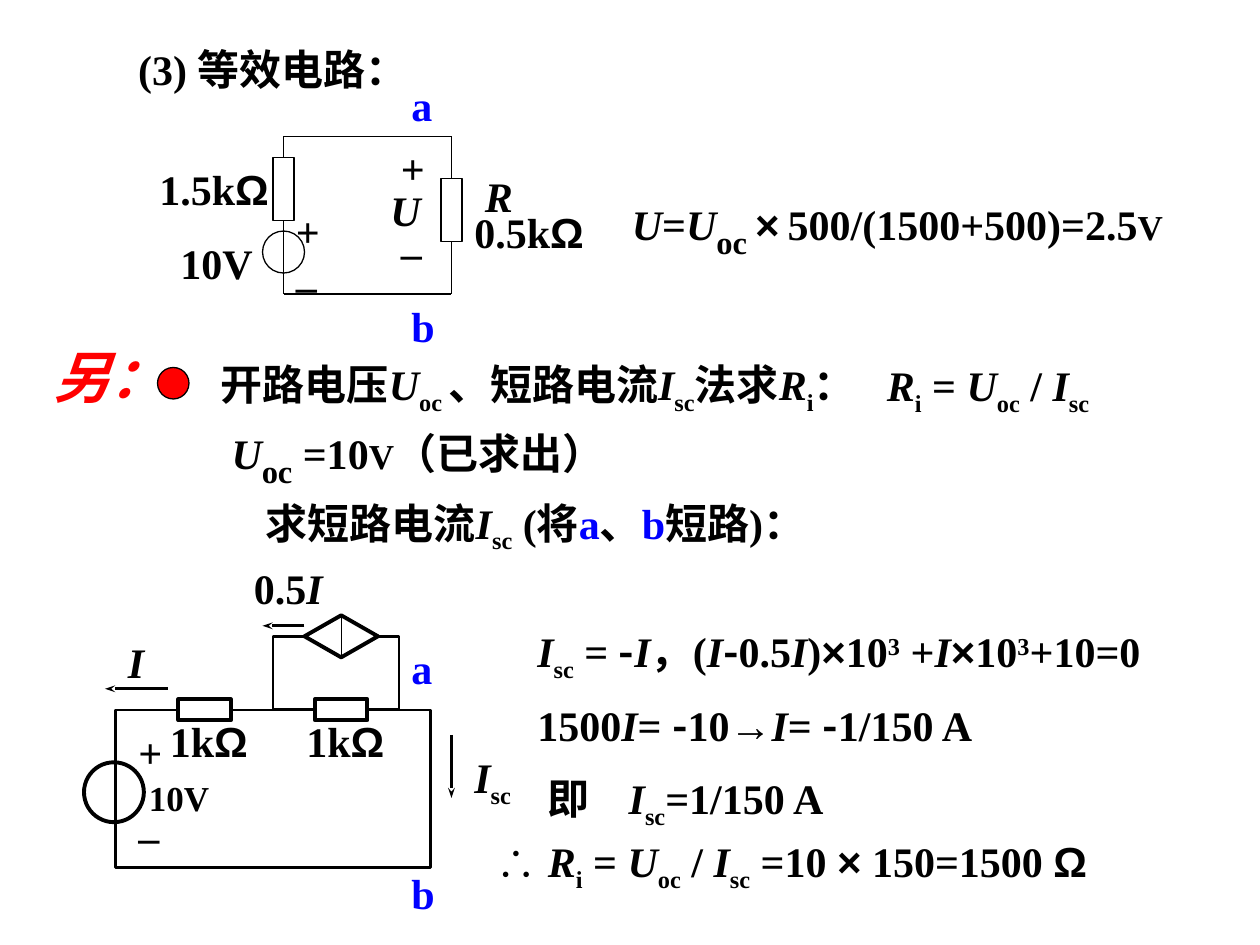
from dataclasses import dataclass

from lxml import etree
from pptx import Presentation
from pptx.dml.color import RGBColor
from pptx.enum import shapes, text
from pptx.oxml import ns
from pptx.util import Inches, Pt


@dataclass(frozen=True)
class Theme:
    ink: str = "000000"
    blue: str = "0000FF"
    red: str = "FF0000"
    paper: str = "FFFFFF"
    body: str = "Times New Roman"
    sign: str = "Arial"
    han: str = "Noto Sans CJK SC"
    small: int = 20
    base: int = 24
    large: int = 32
    thin: float = 0.75
    wire: float = 1.5
    bold: float = 2.25


T = Theme()
KIND = shapes.MSO_SHAPE
COLS, ROWS = 120, 90  # twelve cells to the inch
UOC = ("U|i", "oc|_")
ISC = ("I|i", "sc|_")
RI = ("R|i", "i|_")


def cell(n):
    return Inches(n / 12)


def rgb(code):
    return RGBColor.from_string(code)


def sub(node, tag, **attrs):
    return etree.SubElement(node, ns.qn(tag), **attrs)


def add_run(para, mark):
    """Mark is 'words|codes': i italic, _ low, ^ high, A sign font, H han font,
    b blue, r red, S small, L large."""
    words, _, codes = mark.partition("|")
    run = para.add_run()
    run.text = words
    font = run.font
    font.bold = True
    font.italic = "i" in codes
    font.name = T.sign if "A" in codes else T.han if "H" in codes else T.body
    font.size = Pt(T.small if "S" in codes else T.large if "L" in codes else T.base)
    font.color.rgb = rgb(T.blue if "b" in codes else T.red if "r" in codes else T.ink)
    props = run._r.get_or_add_rPr()
    sub(props, "a:ea", typeface=T.sign if "A" in codes else T.han)
    if "_" in codes:
        props.set("baseline", "-25000")
    if "^" in codes:
        props.set("baseline", "30000")


def label(page, box, *lines, mid=False, pitch=None, tab=None):
    """Each line is a tuple of marks; mid gives an unwrapped, centred line."""
    frame = page.add_textbox(*map(cell, box)).text_frame
    frame.word_wrap = not mid
    frame.auto_size = text.MSO_AUTO_SIZE.SHAPE_TO_FIT_TEXT
    if mid:
        frame.vertical_anchor = text.MSO_ANCHOR.MIDDLE
    for n, marks in enumerate(lines):
        para = frame.add_paragraph() if n else frame.paragraphs[0]
        if tab:
            stops = sub(para._p.get_or_add_pPr(), "a:tabLst")
            sub(stops, "a:tab", pos=str(cell(tab)), algn="l")
        if mid:
            para.alignment = text.PP_ALIGN.CENTER
        if pitch:
            para.line_spacing = pitch
        for mark in marks:
            add_run(para, mark)


def part(page, kind, box, width, fill=None):
    """Outlined circuit part, hollow unless a fill is given."""
    shape = page.add_shape(kind, *map(cell, box))
    shape.shadow.inherit = False
    if fill:
        shape.fill.solid()
        shape.fill.fore_color.rgb = rgb(fill)
    else:
        shape.fill.background()
    shape.line.color.rgb = rgb(T.ink)
    shape.line.width = Pt(width)
    return shape


def wire(page, ends, width, arrow=False):
    line = page.add_connector(shapes.MSO_CONNECTOR.STRAIGHT, *map(cell, ends))
    line.line.color.rgb = rgb(T.ink)
    line.line.width = Pt(width)
    if arrow:
        sub(line.line._get_or_add_ln(), "a:tailEnd", type="stealth", w="sm")
    sub(line._element.spPr, "a:effectLst")
    return line


def draw_loop(page):
    """Equivalent circuit: source, inner resistance and load."""
    left, right, top, low = 27, 43, 13, 28
    label(page, (38, 7, 5, 6), ("a|b",))
    label(page, (38, 28, 5, 6), ("b|b",))
    part(page, KIND.OVAL, (25, 22, 4, 4), T.thin)
    label(page, (16, 22, 10, 6), ("10V",))
    label(page, (27, 19, 4, 6), ("+",))
    label(page, (27, 24.1, 5, 6), ("–",))
    for ends in ((left, 22, left, 26), (left, top, left, low),
                 (left, top, right, top), (left, low, right, low),
                 (right, top, right, low)):
        wire(page, ends, T.thin)
    part(page, KIND.RECTANGLE, (right - 1, 17, 2, 6), T.thin, T.paper)
    label(page, (37, 13, 4, 6), ("+",))
    label(page, (37, 21, 5, 6), ("–",))
    label(page, (36, 17, 8, 6), ("U|i",))
    label(page, (44, 17, 14, 7.9), (" ", "R|i"), ("0.5k", "Ω|A"), pitch=0.7)
    label(page, (14, 15, 14, 6), ("1.5k", "Ω|A"))
    part(page, KIND.RECTANGLE, (left - 1, 15, 2, 6), T.thin, T.paper)


def draw_short(page):
    """Short-circuit network with the dependent source."""
    rail = 67.6
    part(page, KIND.RECTANGLE, (26, rail - 7, 12, 7), T.wire)
    part(page, KIND.RECTANGLE, (11, rail, 30, 15), T.wire)
    label(page, (12, rail + 1, 4.6, 6), ("+",))
    label(page, (12, rail + 9, 5.6, 6), ("–",))
    label(page, (13, 73.4, 9, 5.3), ("10V|S",))
    for x in (17, 30):
        part(page, KIND.RECTANGLE, (x, rail - 1, 5, 2), T.bold, T.paper)
        label(page, (x - 2, rail, 11, 6), ("1k", "Ω|A"))
    label(page, (23, 53, 10, 6), ("0.5", "I|i"))
    label(page, (38, rail - 7, 6, 6), ("a|b",))
    label(page, (38, 82, 5, 6), ("b|b",))
    label(page, (11, 60, 4, 6), ("I|i",))
    label(page, (44, 71, 7, 6.75), ISC)
    for ends in ((29, rail - 8, 25, rail - 8), (16, rail - 2, 10, rail - 2),
                 (43, 70, 43, 76)):
        wire(page, ends, T.wire, arrow=True)
    gem = part(page, KIND.DIAMOND, (29, rail - 9, 7, 4), T.bold, T.paper)
    core = wire(page, (32.5, rail - 9, 32.5, rail - 5), T.thin)
    core.begin_connect(gem, 0)
    core.end_connect(gem, 2)
    part(page, KIND.OVAL, (8, rail + 5, 5.7, 5.7), T.bold)
    wire(page, (11, rail + 5, 11, rail + 11), T.wire)


def write_sums(page):
    label(page, (59, 17, 57, 8.5),
          ("U|i", "=", "U|i", "oc |_L", "×|A", " |_L",
           "500/(1500+500)=2.5", "V|S"))
    label(page, (50, 59, 68, 6.75),
          (*ISC, " = ", "-|H", "I|i", "，(", "I|i", "-|H", "0.5", "I|i", ")",
           "×|A", "10", "3|^", " +", "I|i", "×|A", "10", "3|^", "+10=0"))
    label(page, (50, 66, 46, 6),
          ("1500", "I|i", "= ", "-|H", "10", "→|A", "I|i", "= ", "-|H", "1/150 A"))
    label(page, (51, 73, 29, 6.75), ("即\t", *ISC, "=1/150 A"), tab=7.7)
    label(page, (46, 79, 61, 6.75),
          ("∴|A", " R|i", "i|_", " = ", *UOC, " / ", *ISC, " =10 ", "×|A",
           " 150=1500 ", "Ω|A"))


def write_steps(page):
    label(page, (11.5, 3.5, 29, 6), ("(3) 等效电路：",), mid=True)
    part(page, KIND.OVAL, (15, 35, 3, 3), T.thin, T.red)
    label(page, (16.5, 33.5, 69.5, 6.75),
          ("开路电压", "U|i", "oc |_", "、短路电流", *ISC, "法求", *RI, "："), mid=True)
    label(page, (82.8, 33.6, 22.6, 6.75), (*RI, " = ", *UOC, " / ", *ISC), mid=True)
    label(page, (20, 38.8, 39.6, 8.5),
          ("U|i", "oc|_L", " =10", "V|S", "（已求出）"), mid=True)
    label(page, (19.8, 46.7, 62.4, 6.75),
          ("求短路电流", *ISC, " (将", "a|b", "、", "b|b", "短路)："), mid=True)
    label(page, (3.9, 32, 13.1, 7.7), ("另：|irL",), mid=True)


def main():
    deck = Presentation()
    deck.slide_width, deck.slide_height = cell(COLS), cell(ROWS)
    page = deck.slides.add_slide(deck.slide_layouts[6]).shapes
    write_sums(page)
    draw_loop(page.add_group_shape().shapes)
    write_steps(page)
    draw_short(page.add_group_shape().shapes)
    deck.save("out.pptx")


if __name__ == "__main__":
    main()
